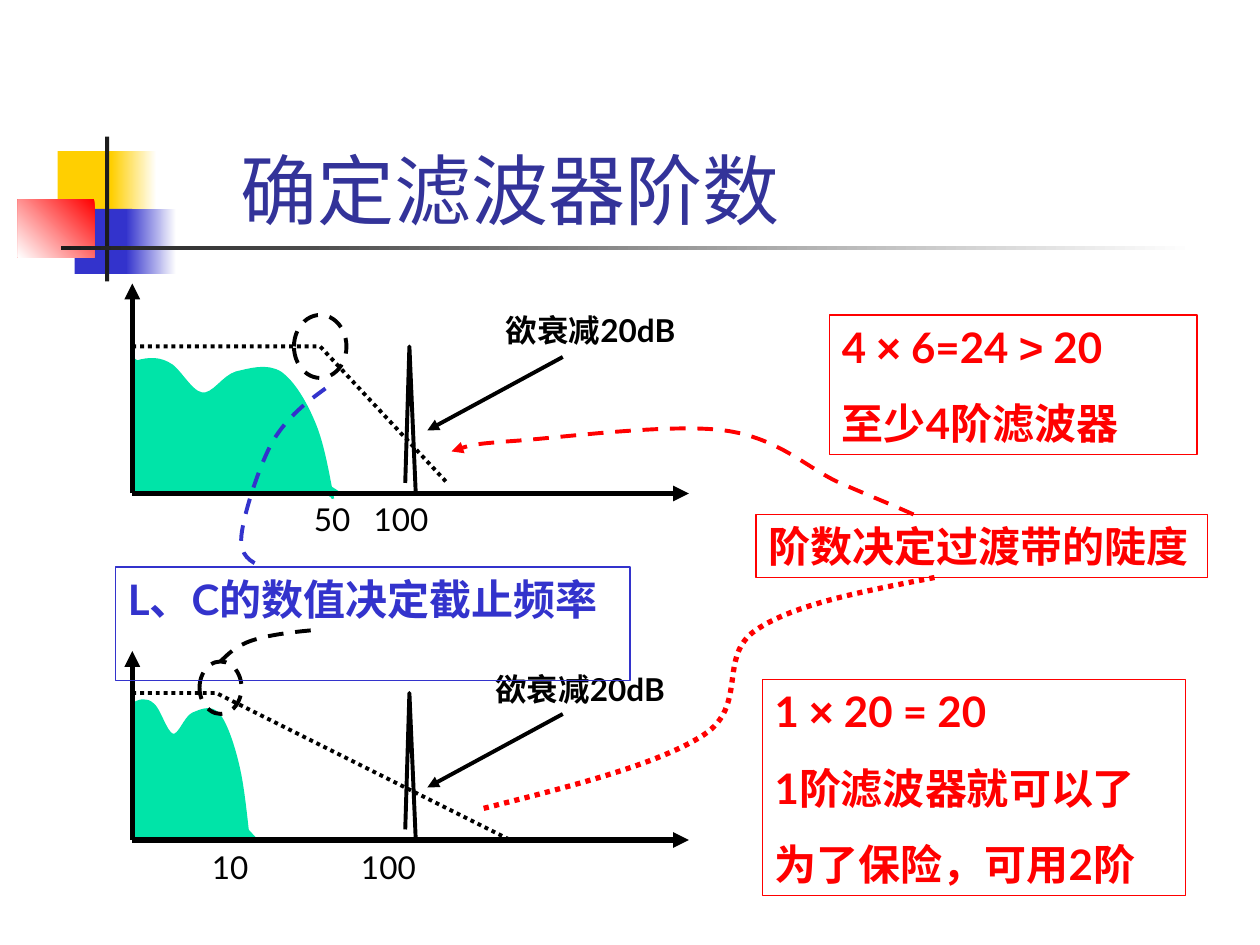
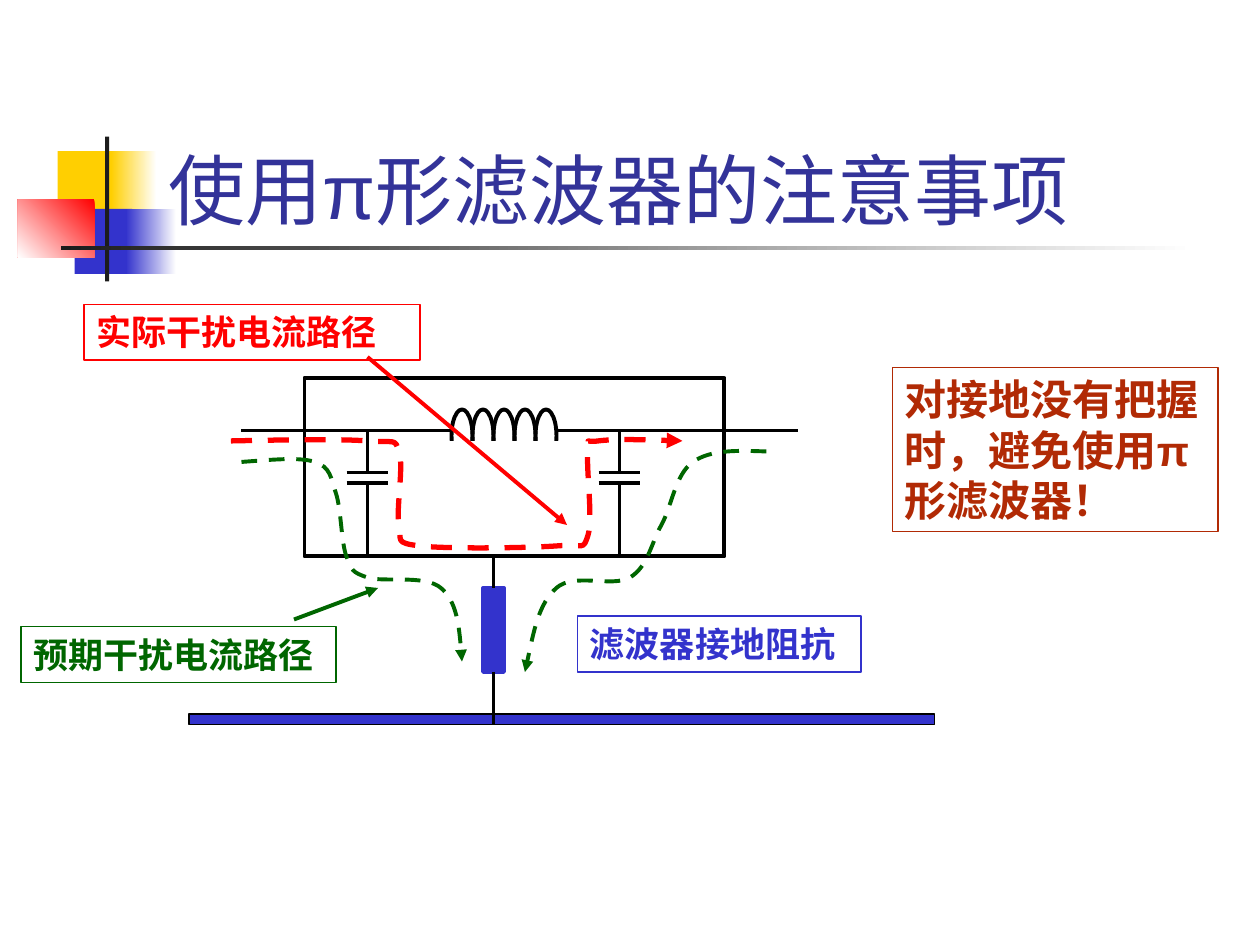
from itertools import groupby

from lxml import etree
from pptx import Presentation
from pptx import util as u
from pptx.dml.color import RGBColor
from pptx.enum import dml, shapes, text
from pptx.oxml.ns import qn

COLORS = {
    "black": "000000", "white": "FFFFFF", "ink": "1C1C1C", "title": "333399",
    "yellow": "FFCF01", "blue": "3333CC", "red": "FF0000", "mint": "00E4A8",
    "green": "006600", "rust": "B12A05",
}
RGB = {name: RGBColor.from_string(value) for name, value in COLORS.items()}
DASH, DOT = dml.MSO_LINE.DASH, dml.MSO_LINE.ROUND_DOT
RECTANGLE, OVAL = shapes.MSO_SHAPE.RECTANGLE, shapes.MSO_SHAPE.OVAL
STRAIGHT = shapes.MSO_CONNECTOR.STRAIGHT
THIN, MEDIUM, THICK = 0.75, 2.25, 3

presentation = Presentation()
presentation.slide_width, presentation.slide_height = u.Inches(10), u.Inches(7.5)
# The slide is a grid of 120 columns by 90 rows; all lengths are in cells.
CELL = presentation.slide_width / 120


def style(shape, line=None, width=MEDIUM, fill=None, dash=None, arrow=False):
    """Set outline and fill of a shape or connector, without a shadow."""
    if line:
        shape.line.color.rgb = RGB[line]
        shape.line.width = u.Pt(width)
        if dash:
            shape.line.dash_style = dash
        if arrow:
            etree.SubElement(shape.line._get_or_add_ln(), qn("a:tailEnd"), type="triangle")
    else:
        shape.line.fill.background()
    if fill:
        shape.fill.solid()
        shape.fill.fore_color.rgb = RGB[fill]
    elif hasattr(shape, "fill"):
        shape.fill.background()
    etree.SubElement(shape._element.spPr, qn("a:effectLst"))


def trace(slide, points, curved=True, close=False):
    """Draw an outline; when curved, each three points form a Bezier segment."""
    start, *rest = [(x * CELL, y * CELL) for x, y in points]
    builder = slide.shapes.build_freeform(*start, scale=1.0)
    builder.add_line_segments(rest, close=close)
    shape = builder.convert_to_shape()
    if curved:
        segments = iter(shape._element.xpath(".//a:lnTo"))
        for first, second, third in zip(segments, segments, segments):
            first.tag = qn("a:cubicBezTo")
            for segment in (second, third):
                first.append(segment[0])
                segment.getparent().remove(segment)
    return shape


# Titles
layout = presentation.slide_layouts[5]
slides = []
for left, words in [(21.7, "确定滤波器阶数"), (14.8, "使用π形滤波器的注意事项")]:
    slide = presentation.slides.add_slide(layout)
    slides.append(slide)
    title = slide.shapes.title
    title.left, title.top, title.width, title.height = [
        u.Emu(int(n * CELL)) for n in (left, 8, 102.2, 15)]
    frame = title.text_frame
    frame.vertical_anchor = text.MSO_ANCHOR.BOTTOM
    frame.auto_size = text.MSO_AUTO_SIZE.NONE
    paragraph = frame.paragraphs[0]
    paragraph.alignment = text.PP_ALIGN.LEFT
    paragraph.font.size, paragraph.font.name = u.Pt(44), "Lato"
    paragraph.font.color.rgb = RGB["title"]
    for is_greek, letters in groupby(words, lambda letter: letter == "π"):
        run = paragraph.add_run()
        run.text = "".join(letters)
        if is_greek:
            run.font.name = "Arial"
filter_order, pi_filter = slides

# Coloured blocks and rules, shared through the layout
blocks = [  # left, top, width, height, first colour, last colour, angle
    (5.5, 14.4, 5.8, 6.2, "yellow", None, 0),
    (10.6, 14.4, 4.3, 6.2, "white", "yellow", 180),
    (7.1, 19.9, 5.5, 6.2, "blue", None, 0),
    (12, 19.9, 4.8, 6.2, "white", "blue", 180),
    (1.7, 19, 7.3, 5.5, "red", "white", 225),
    (10, 13, 0.4, 13.8, "ink", None, 0),
    (5.8, 23.4, 108, 0.4, "white", "ink", 180),
]
for number, (*box, first, last, angle) in enumerate(blocks, start=20):
    block = filter_order.shapes.add_shape(RECTANGLE, *[int(n * CELL) for n in box])
    style(block, fill=first)
    if last:
        block.fill.gradient()
        block.fill.gradient_angle = angle
        for stop, color in zip(block.fill.gradient_stops, (first, last)):
            stop.color.rgb = RGB[color]
    block._element.nvSpPr.cNvPr.id = number
    layout.shapes._spTree.append(block._element)

# Two spectra with the same axes, signal band and interference spike
AXIS = 12.6
hump = [
    (0, -12.4), (1.1, -12.8), (2.3, -13), (3.4, -12.4),
    (4.4, -12), (5.5, -9.7), (6.6, -9.5), (7.7, -9.3), (8.6, -11.1), (9.9, -11.5),
    (11.2, -11.8), (12.8, -12.3), (14.1, -11.5), (15.4, -10.6), (16.6, -8.5), (17.4, -6.5),
    (18.2, -4.5), (18.6, -2), (19.1, 0.5),
]
spectra = [  # base row, axis height, hump scale and shift, wedge, roll-off, pointer top
    (47, 20, 1, 0, 20, [(17.9, -14), (30, -1)], -13),
    (80, 18, 0.58, -0.5, 12, [(8, -14), (36, 0)], -12),
]
for base, height, scale, shift, wedge, roll_off, pointer in spectra:
    band = trace(filter_order, [(AXIS + x * scale, base + y + shift) for x, y in hump])
    style(band, "mint", 1.5, "mint")
    corner = [(AXIS, base - 13), (AXIS, base), (AXIS + wedge, base)]
    style(trace(filter_order, corner, curved=False, close=True), fill="mint")
    for start, end, width in [
        ((AXIS, base), (AXIS, base - height), THICK),
        ((AXIS, base), (65.6, base), THICK),
        ((53.6, base + pointer), (40.7, base + pointer + 7), MEDIUM),
    ]:
        arrow = filter_order.shapes.add_connector(
            STRAIGHT, *[int(n * CELL) for n in start + end])
        style(arrow, "black", width, arrow=True)
    response = [(AXIS + x, base + y) for x, y in [(0, -14)] + roll_off]
    style(trace(filter_order, response, curved=False), "black", dash=DOT)
    spike = [(38.6, base - 1), (39, base - 14), (39.6, base)]
    style(trace(filter_order, spike, curved=False), "black")

for box in [(28, 30, 5, 6), (19, 63, 4, 5)]:
    cutoff = filter_order.shapes.add_shape(OVAL, *[int(n * CELL) for n in box])
    style(cutoff, "black", dash=DASH)

# Pi filter circuit: ground plane, case, coil, grounding impedance
parts = [  # shape, box, line, width, fill
    (RECTANGLE, (18, 68, 71, 1), "black", 1, "blue"),
    (RECTANGLE, (29, 36, 40, 17), "black", MEDIUM, None),
    *[(OVAL, (43 + 2 * turn, 39, 2, 5), "black", MEDIUM, None) for turn in range(5)],
    (RECTANGLE, (40, 42, 16, 4), None, 0, "white"),
    (RECTANGLE, (46, 56, 2, 8), "blue", MEDIUM, "blue"),
]
for kind, box, line, width, fill in parts:
    part = pi_filter.shapes.add_shape(kind, *[int(n * CELL) for n in box])
    style(part, line, width, fill)

wires = [(23, 41, 43, 41), (53, 41, 76, 41), (47, 53, 47, 56), (47, 64, 47, 69)]
for x in (35, 59):  # capacitors
    wires += [(x - 2, 45, x + 2, 45), (x - 2, 46, x + 2, 46), (x, 41, x, 45), (x, 46, x, 53)]
for ends in wires:
    wire = pi_filter.shapes.add_connector(STRAIGHT, *[int(n * CELL) for n in ends])
    style(wire, "black")
for ends, color in [((28, 59, 36, 56), "green"), ((35, 34, 54, 50), "red")]:
    pointer = pi_filter.shapes.add_connector(STRAIGHT, *[int(n * CELL) for n in ends])
    style(pointer, color, arrow=True)

# Curved leaders and current paths
curves = [  # slide, colour, width, dash, arrow, points
    (filter_order, "blue", MEDIUM, DASH, False, [
        (31, 37), (29.2, 38.3), (27.4, 39.7), (26, 42), (24.7, 44.3), (23.2, 49), (23, 51),
        (22.8, 53), (23.9, 53.5), (25, 54)]),
    (filter_order, "black", MEDIUM, DASH, False, [
        (21, 63), (21.7, 62.3), (22.5, 61.5), (24, 61), (25.5, 60.5), (27.7, 60.2), (30, 60)]),
    (filter_order, "red", MEDIUM, DASH, True, [
        (87, 49), (85, 48.1), (83, 47.3), (80, 46), (77, 44.7), (74.2, 41.7), (69, 41),
        (63.8, 40.3), (53.3, 41.7), (49, 42), (44.7, 42.3), (43.8, 42.7), (43, 43)]),
    (filter_order, "red", THICK, DOT, False, [
        (89, 55), (82.3, 56.3), (75.7, 57.5), (72, 60), (68.3, 62.5), (71.3, 67.2), (67, 70),
        (62.7, 72.8), (54.3, 74.9), (46, 77)]),
    (pi_filter, "red", THICK, DASH, True, [
        (22, 42), (27.1, 41.9), (32.3, 41.8), (35, 42), (37.7, 42.2), (37.6, 41.7), (38, 43),
        (38.5, 44.3), (37.7, 48.5), (38, 50), (38.3, 51.5), (37.5, 51.7), (40, 52),
        (42.5, 52.3), (50.3, 52.2), (53, 52), (55.7, 51.8), (55.5, 52.5), (56, 51),
        (56.5, 49.5), (55.8, 44.5), (56, 43), (56.2, 41.5), (55.5, 42.2), (57, 42),
        (58.5, 41.8), (61.8, 41.9), (65, 42)]),
    (pi_filter, "green", MEDIUM, DASH, True, [
        (23, 44), (25.8, 43.8), (28.5, 43.5), (30, 44), (31.5, 44.5), (31.5, 45.5), (32, 47),
        (32.5, 48.5), (32.5, 51.7), (33, 53), (33.5, 54.3), (33.5, 54.5), (35, 55),
        (36.5, 55.5), (40.5, 54.7), (42, 56), (43.5, 57.3), (43.8, 60.2), (44, 63)]),
    (pi_filter, "green", MEDIUM, DASH, True, [
        (73, 43), (70.3, 42.9), (67.7, 42.8), (66, 44), (64.3, 45.2), (64, 48.2), (63, 50),
        (62, 51.8), (61.7, 54), (60, 55), (58.3, 56), (54.7, 54.5), (53, 56),
        (51.3, 57.5), (50.7, 60.8), (50, 64)]),
]
for slide, color, width, dash, arrow, points in curves:
    style(trace(slide, points), color, width, dash=dash, arrow=arrow)

# Labels and framed notes
notes = [  # slide, box, size, colour, frame width, bold, font, paragraphs
    (filter_order, (28.7, 47, 8, 4.8), 18, "black", 0, False, "Lato", ["50"]),
    (filter_order, (34.4, 47, 8, 4.8), 18, "black", 0, False, "Lato", ["100"]),
    (filter_order, (19, 80.2, 8, 4.8), 18, "black", 0, False, "Lato", ["10"]),
    (filter_order, (33.2, 80.2, 8, 4.8), 18, "black", 0, False, "Lato", ["100"]),
    (filter_order, (47, 29, 21.6, 4.8), 18, "black", 0, True, "Lato", ["欲衰减20dB"]),
    (filter_order, (46, 63.2, 21.6, 4.8), 18, "black", 0, True, "Lato", ["欲衰减20dB"]),
    (filter_order, (79, 30, 35, 13.3), 24, "red", THIN, True, "Lato",
     ["4 × 6=24 > 20", "至少4阶滤波器"]),
    (filter_order, (72.6, 64.7, 40.3, 20.6), 24, "red", THIN, True, "Lato",
     ["1 × 20 = 20", "1阶滤波器就可以了", "为了保险，可用2阶"]),
    (filter_order, (11, 54, 49, 10.8), 24, "blue", THIN, True, "Lato",
     ["L、C的数值决定截止频率"]),
    (filter_order, (72, 49, 43, 6), 24, "red", THIN, True, "Lato", ["阶数决定过渡带的陡度"]),
    (pi_filter, (55, 58.7, 27, 5.3), 20, "blue", 1, True, "Times New Roman",
     ["滤波器接地阻抗"]),
    (pi_filter, (2, 59.7, 30, 5.3), 20, "green", THIN, True, "Lato", ["预期干扰电流路径"]),
    (pi_filter, (8, 29, 32, 5.3), 20, "red", THIN, True, "Lato", ["实际干扰电流路径"]),
    (pi_filter, (85, 35, 31, 15.6), 24, "rust", THIN, True, "Lato",
     ["对接地没有把握时，避免使用π形滤波器！"]),
]
for slide, box, size, color, frame_width, bold, font_name, lines in notes:
    note = slide.shapes.add_textbox(*[int(n * CELL) for n in box])
    style(note, color if frame_width else None, frame_width)
    frame = note.text_frame
    frame.word_wrap = True
    frame.auto_size = text.MSO_AUTO_SIZE.SHAPE_TO_FIT_TEXT
    for index, words in enumerate(lines):
        paragraph = frame.add_paragraph() if index else frame.paragraphs[0]
        paragraph.space_before = u.Pt(size * 0.625)
        font = paragraph.font
        font.size, font.bold, font.name = u.Pt(size), bold, font_name
        font.color.rgb = RGB[color]
        for is_symbol, letters in groupby(words, lambda letter: letter in "×>π"):
            run = paragraph.add_run()
            run.text = "".join(letters)
            if is_symbol:
                run.font.name = "Arial"

presentation.save("out.pptx")
